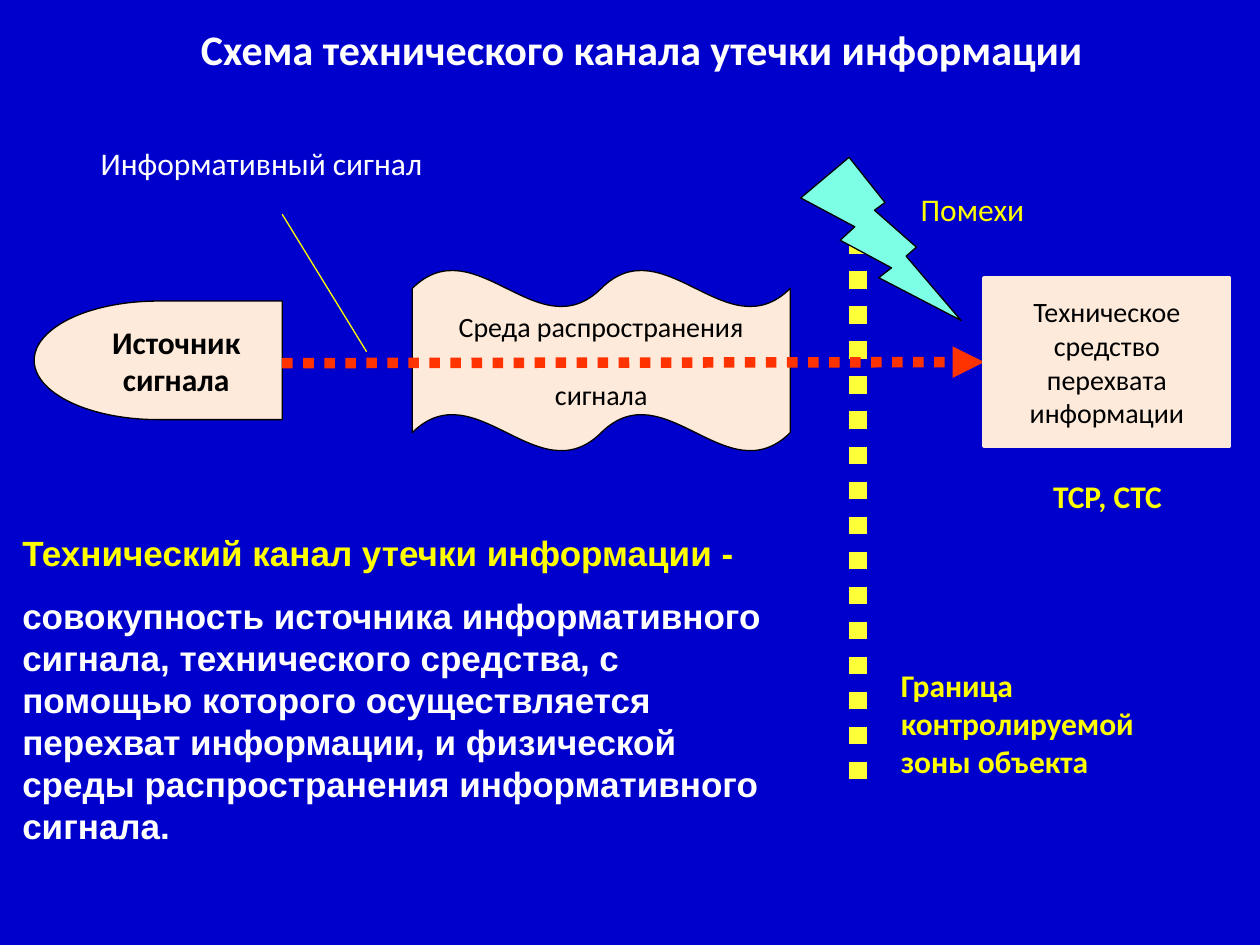
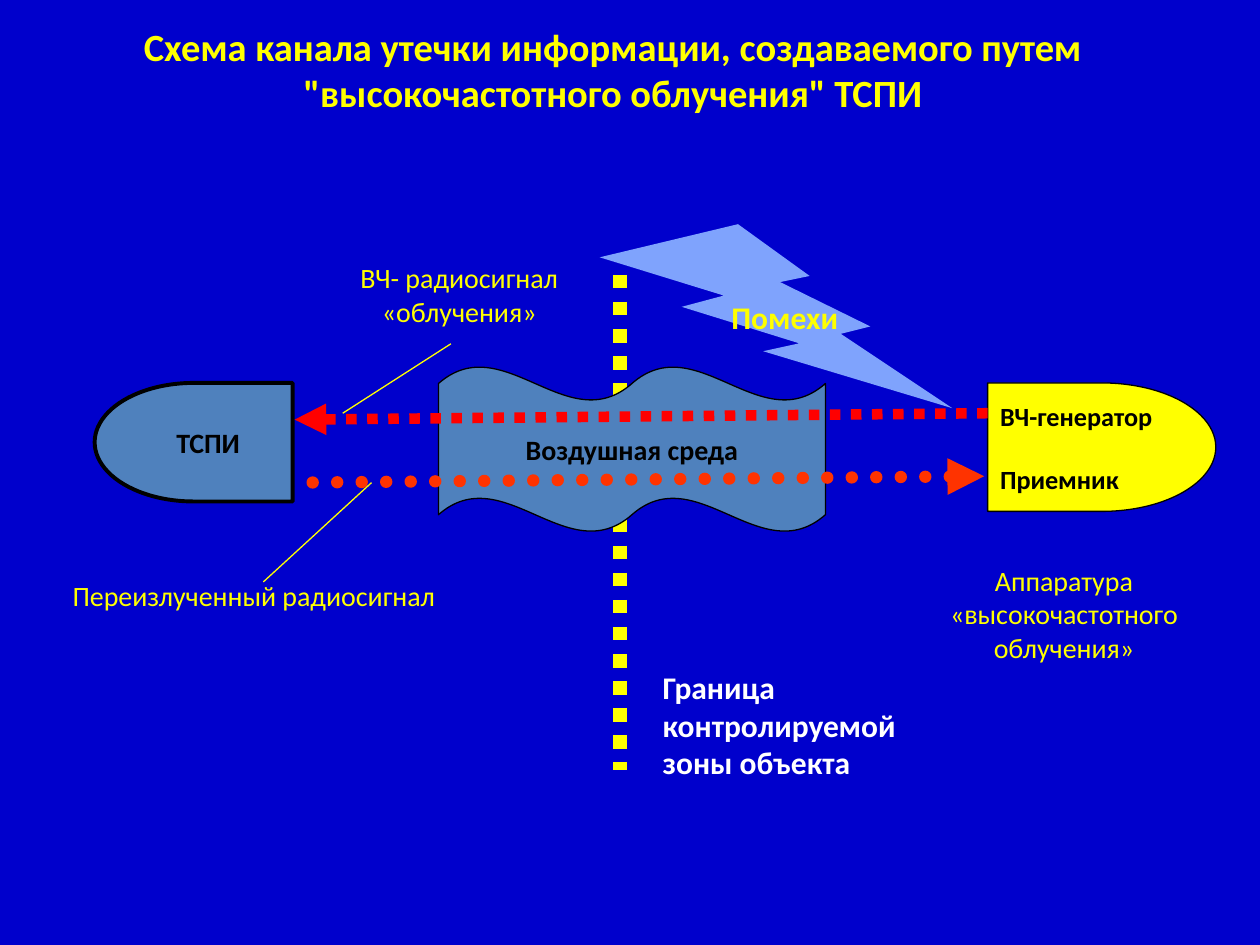
from dataclasses import dataclass

from pptx import Presentation
from pptx.dml.color import RGBColor
from pptx.enum.dml import MSO_LINE
from pptx.enum.shapes import MSO_CONNECTOR, MSO_SHAPE
from pptx.enum.text import MSO_ANCHOR, PP_ALIGN
from pptx.oxml.ns import qn
from pptx.util import Cm, Pt
from lxml import etree

STRAIGHT = MSO_CONNECTOR.STRAIGHT
DOTTED = MSO_LINE.ROUND_DOT
RECTANGLE, DELAY = MSO_SHAPE.RECTANGLE, MSO_SHAPE.FLOWCHART_DELAY
WAVE, BOLT = MSO_SHAPE.DOUBLE_WAVE, MSO_SHAPE.LIGHTNING_BOLT
TOP, MIDDLE = MSO_ANCHOR.TOP, MSO_ANCHOR.MIDDLE
LEFT, CENTER = PP_ALIGN.LEFT, PP_ALIGN.CENTER
LEFT_SIDE = 1


@dataclass(frozen=True)
class Theme:
    background: str = "0000CC"
    white: str = "FFFFFF"
    black: str = "000000"
    yellow: str = "FFFF00"
    boundary: str = "FFFF37"
    cream: str = "FDEADA"
    steel: str = "4F81BD"
    mint: str = "7DFFE6"
    sky: str = "7FA3FD"
    red: str = "FF0000"
    orange: str = "FF3300"
    body: str = "Calibri"
    definition: str = "Arial"
    title_size: float = 24
    long_title_size: float = 22
    definition_size: float = 20
    label_size: float = 18
    note_size: float = 16
    generator_size: float = 15
    thin: float = 0.75


THEME = Theme()


@dataclass(frozen=True)
class Box:
    left: float
    top: float
    width: float
    height: float

    def inner(self, left, top, width, height):
        return Box(self.left + left, self.top + top, width, height)

    def point(self, left, top):
        return Cm(self.left + left), Cm(self.top + top)

    def lengths(self):
        return [Cm(value) for value in (self.left, self.top, self.width, self.height)]


def look(color, size, bold=False, name=THEME.body):
    return color, {"name": name, "size": Pt(size), "bold": bold}


def write(frame, lines, style, align=CENTER, anchor=TOP, wrap=True, gap=0):
    frame.word_wrap = wrap
    frame.vertical_anchor = anchor
    color, font_format = style
    for index, line in enumerate(lines):
        para = frame.add_paragraph() if index else frame.paragraphs[0]
        para.alignment = align
        if index and gap:
            para.space_before = Pt(gap)
        span = para.add_run()
        span.text = line
        span.font.color.rgb = RGBColor.from_string(color)
        for attribute, value in font_format.items():
            setattr(span.font, attribute, value)


def add_text(page, box, lines, style, **layout):
    frame = page.shapes.add_textbox(*box.lengths()).text_frame
    write(frame, lines, style, **layout)
    return frame


def add_block(page, kind, box, fill, line=THEME.black, weight=THEME.thin, flip=False):
    shape = page.shapes.add_shape(kind, *box.lengths())
    shape.shadow.inherit = False
    shape.fill.solid()
    shape.fill.fore_color.rgb = RGBColor.from_string(fill)
    if line:
        shape.line.color.rgb = RGBColor.from_string(line)
        shape.line.width = Pt(weight)
    else:
        shape.line.fill.background()
    if flip:
        shape.element.spPr.find(qn("a:xfrm")).set("flipH", "1")
    return shape


def add_medium(page, box, fill, lines, style, gap=0):
    medium = add_block(page, WAVE, box, fill)
    medium.adjustments[0] = 0.103
    medium.adjustments[1] = 0
    write(medium.text_frame, lines, style, anchor=MIDDLE, wrap=False, gap=gap)


def add_line(page, start, end, color, weight=THEME.thin, dotted=False, arrow=None, cap=None):
    connector = page.shapes.add_connector(STRAIGHT, *start, *end)
    connector.line.color.rgb = RGBColor.from_string(color)
    connector.line.width = Pt(weight)
    if dotted:
        connector.line.dash_style = DOTTED
    properties = connector.element.spPr
    outline = properties.find(qn("a:ln"))
    if cap:
        outline.set("cap", cap)
    if arrow:
        etree.SubElement(outline, qn(arrow)).set("type", "triangle")
    etree.SubElement(properties, qn("a:effectLst"))
    return connector


def draw_boundary(page, box, line_height, weight, line_color, caption_color):
    add_line(page, box.point(0, 0), box.point(0, line_height), line_color, weight, dotted=True)
    caption = box.inner(0.61, box.height - 2.54, box.width - 0.61, 2.54)
    add_text(page, caption, ["Граница контролируемой зоны объекта"],
             look(caption_color, THEME.label_size, True), align=LEFT)


def draw_leak_scheme(page, box):
    note = look(THEME.black, THEME.note_size)
    add_medium(page, box.inner(7.62, 2.67, 7.62, 3.66), THEME.cream,
               ["Среда распространения", "сигнала"], note, gap=19.5)
    source = add_block(page, DELAY, box.inner(0, 3.3, 5, 2.39), THEME.cream, flip=True)
    write(source.text_frame, ["Источник", "сигнала"],
          look(THEME.black, THEME.label_size, True), anchor=MIDDLE, wrap=False)
    add_text(page, box.inner(1.09, 0, 7.7, 1.02), ["Информативный сигнал"],
             look(THEME.white, THEME.label_size), align=LEFT, wrap=False)
    add_line(page, box.point(5, 1.55), box.point(6.7, 4.32), THEME.yellow)
    signal = add_line(page, box.point(5, 4.55), box.point(19.15, 4.55), THEME.orange, 6,
                      dotted=True, arrow="a:tailEnd")
    bolt = add_block(page, BOLT, box.inner(15.62, 0.33, 2.79, 3.61), THEME.mint)
    bolt.rotation = 350.7
    add_text(page, box.inner(17.01, 0.94, 3.81, 1.02), ["Помехи"],
             look(THEME.yellow, THEME.label_size))
    receiver = add_block(page, RECTANGLE, box.inner(19.15, 2.84, 4.95, 3.38),
                         THEME.cream, THEME.cream, 2)
    write(receiver.text_frame, ["Техническое", "средство", "перехвата", "информации"],
          note, anchor=MIDDLE)
    signal.end_connect(receiver, LEFT_SIDE)
    add_text(page, box.inner(19.35, 6.73, 4.57, 1.02), ["ТСР, СТС"],
             look(THEME.yellow, THEME.label_size, True))


def draw_definition(page, box):
    frame = add_text(page, box, [
        "Технический канал утечки информации -",
        "совокупность источника информативного сигнала, технического средства, "
        "с помощью которого осуществляется перехват информации, и физической "
        "среды распространения информативного сигнала.",
    ], look(THEME.white, THEME.definition_size, True, THEME.definition), align=LEFT, gap=12)
    term = frame.paragraphs[0].runs[0]
    term.font.color.rgb = RGBColor.from_string(THEME.yellow)


def draw_irradiation_scheme(page, box):
    label = look(THEME.yellow, THEME.note_size)
    name = look(THEME.black, THEME.note_size, True)
    bolt = add_block(page, BOLT, box.inner(11.2, 0, 7.11, 3.71), THEME.sky, line=None)
    write(bolt.text_frame, ["Помехи"], look(THEME.yellow, THEME.label_size, True),
          anchor=MIDDLE, wrap=False)
    labels = [
        (box.inner(17.4, 6.71, 6.32, 2.31), ["Аппаратура", "«высокочастотного", "облучения»"]),
        (box.inner(5.41, 0.61, 5.92, 1.63), ["ВЧ- радиосигнал", "«облучения»"]),
        (box.inner(0, 7.01, 8.46, 1.63), ["Переизлученный радиосигнал"]),
    ]
    for place, lines in labels:
        add_text(page, place, lines, label)
    add_medium(page, box.inner(7.95, 2.87, 7.8, 3.33), THEME.steel, ["Воздушная среда"], name)
    generator = add_block(page, DELAY, box.inner(19.02, 3.2, 4.6, 2.59), THEME.yellow)
    write(generator.text_frame, ["ВЧ-генератор", "Приемник"],
          look(THEME.black, THEME.generator_size, True),
          align=LEFT, anchor=MIDDLE, wrap=False, gap=18)
    equipment = add_block(page, DELAY, box.inner(1.02, 3.2, 3.99, 2.39), THEME.steel,
                          weight=2.25, flip=True)
    write(equipment.text_frame, ["ТСПИ"], name, anchor=MIDDLE, wrap=False)
    add_line(page, box.point(19.02, 3.81), box.point(5.05, 3.94), THEME.red, 6,
             dotted=True, arrow="a:tailEnd")
    add_line(page, box.point(18.95, 5.08), box.point(5.05, 5.21), THEME.orange, 7,
             dotted=True, arrow="a:headEnd", cap="rnd")
    add_line(page, box.point(6.02, 3.81), box.point(8.2, 2.41), THEME.yellow)
    add_line(page, box.point(6.6, 5.21), box.point(4.42, 7.21), THEME.yellow)


def draw_title(page, box, lines, color, size):
    add_text(page, box, lines, look(color, size, True), anchor=MIDDLE)


def add_page(deck):
    page = deck.slides.add_slide(deck.slide_layouts[6])
    page.background.fill.solid()
    page.background.fill.fore_color.rgb = RGBColor.from_string(THEME.background)
    return page


def build_leak_page(deck):
    page = add_page(deck)
    draw_boundary(page, Box(17.3, 4.06, 6.5, 11.79), 11.82, 10, THEME.boundary, THEME.yellow)
    draw_title(page, Box(1.09, 0.18, 23.7, 1.6),
               ["Схема технического канала утечки информации"], THEME.white, THEME.title_size)
    draw_leak_scheme(page, Box(0.69, 2.77, 24.1, 7.75))
    draw_definition(page, Box(0.2, 10.59, 16.08, 6.68))


def build_irradiation_page(deck):
    page = add_page(deck)
    draw_boundary(page, Box(12.5, 5.54, 6.5, 10.34), 9.98, 7.75, THEME.yellow, THEME.white)
    draw_title(page, Box(0, 0.33, 24.71, 2.13),
               ["Схема канала утечки информации, создаваемого путем",
                '"высокочастотного облучения" ТСПИ'], THEME.yellow, THEME.long_title_size)
    draw_irradiation_scheme(page, Box(0.89, 4.52, 23.72, 9.02))


def main():
    deck = Presentation()
    deck.slide_width, deck.slide_height = Cm(25.4), Cm(19.05)
    build_leak_page(deck)
    build_irradiation_page(deck)
    deck.save("out.pptx")


if __name__ == "__main__":
    main()
